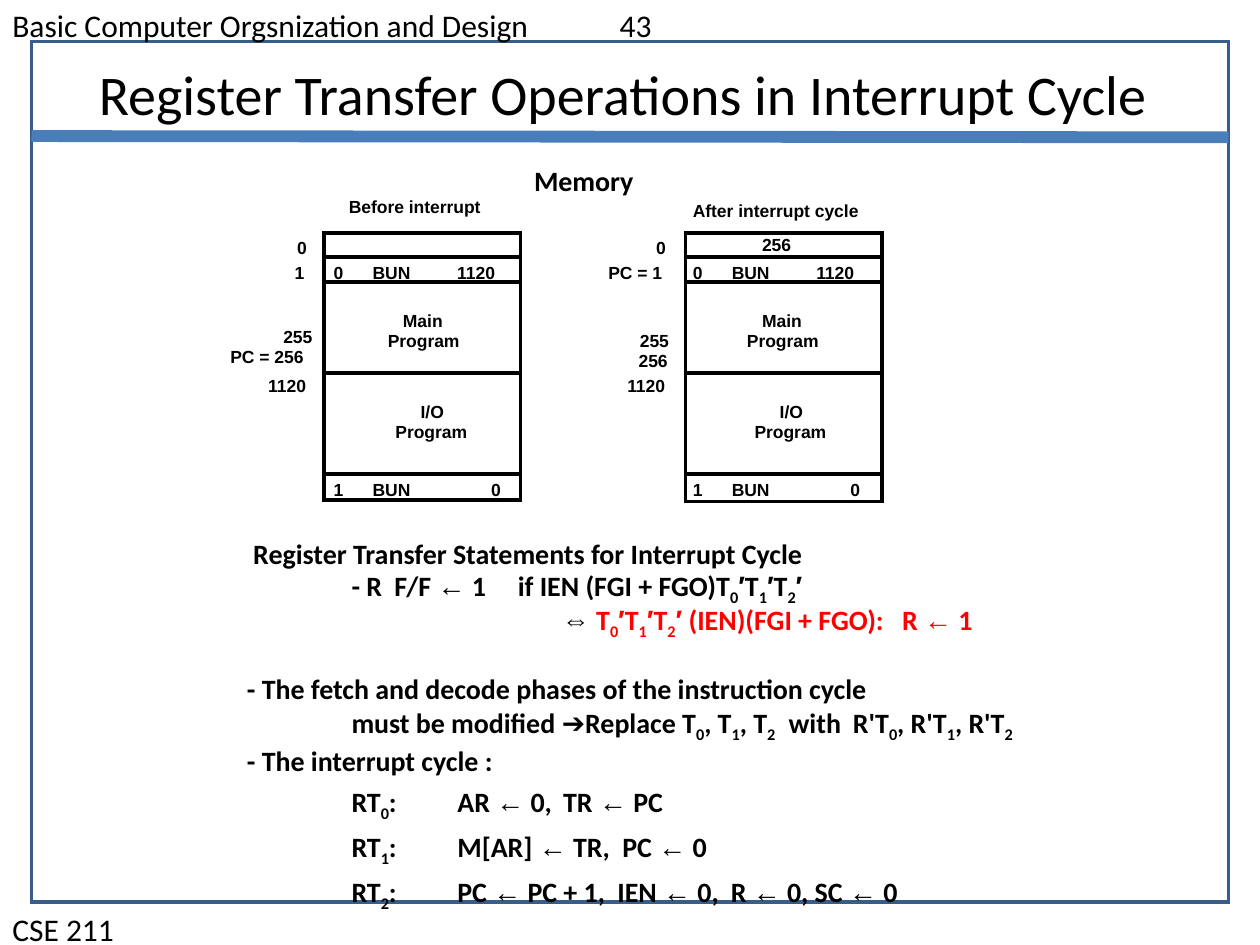
"""Build the slide on register transfers in the interrupt cycle."""
from dataclasses import dataclass
from itertools import groupby

from lxml.etree import SubElement as Sub
from pptx import Presentation as Deck
from pptx.dml.color import RGBColor as Color
from pptx.enum.shapes import MSO_CONNECTOR as Wire, MSO_SHAPE as Form
from pptx.enum.text import PP_ALIGN as Align
from pptx.oxml.ns import qn
from pptx.slide import Slide
from pptx.util import Inches, Pt


@dataclass(frozen=True)
class Theme:
    ink: str = "000000"
    frame: str = "385D8A"
    rule: str = "4A7EBB"
    alert: str = "FF0000"
    sans: str = "Calibri"
    mono: str = "Arial"
    title: int = 32
    edge: int = 18
    body: int = 16
    note: int = 10
    thin: float = 2
    thick: float = 6.75


@dataclass(frozen=True)
class Label:
    text: str
    left: float
    top: float
    width: float


@dataclass(frozen=True)
class Panel:
    left: float
    base: float
    height: float
    labels: tuple[Label, ...]


@dataclass(frozen=True)
class Line:
    text: str
    tabs: tuple[float, ...] = ()
    space: float = 1
    before: float = 0
    color: str = Theme.ink


LOOK = Theme()
SIGNS = "←′⇔➔"
WIDE = 1.56
TOP = 1.85
ROWS = (2.04, 2.24, 2.96, 3.76)
SHARED = (
    Label("0", 0, 2.03, 0.28), Label("BUN", 0.31, 2.03, 0.5),
    Label("1120", 0.98, 2.03, 0.51), Label("Main", 0.55, 2.41, 0.6),
    Label("Program", 0.43, 2.57, 0.77), Label("I/O", 0.69, 3.13, 0.5),
    Label("Program", 0.49, 3.29, 0.77), Label("1", 0, 3.75, 0.28),
    Label("BUN", 0.31, 3.75, 0.5), Label("0", 1.25, 3.75, 0.28),
    Label("0", -0.29, 1.83, 0.28), Label("1120", -0.52, 2.93, 0.51),
)
PANELS = (
    Panel(2.57, 2.55, 2.12, (
        Label("Before interrupt", 0.12, 1.51, 1.4), Label("1", -0.31, 2.03, 0.28),
        Label("255", -0.4, 2.54, 0.43), Label("PC = 256", -0.82, 2.7, 0.78))),
    Panel(5.44, 5.4, 2.13, (
        Label("After interrupt cycle", 0, 1.54, 1.7), Label("PC = 1", -0.67, 2.03, 0.63),
        Label("255", -0.42, 2.57, 0.43), Label("256", -0.43, 2.73, 0.43),
        Label("256", 0.55, 1.81, 0.43))),
)
BODY = (
    Line("\tRegister Transfer Statements for Interrupt Cycle", (0.05,), 0.85),
    Line("\t- R\tF/F ← 1\tif IEN (FGI + FGO)T_0′T_1′T_2′", (0.83, 1.17, 2.15), 0.85),
    Line("\t⇔ T_0′T_1′T_2′ (IEN)(FGI + FGO):\tR ← 1", (2.5, 5.2), 0.96, 0, LOOK.alert),
    Line("- The fetch and decode phases of the instruction cycle", before=18.5),
    Line("\tmust be modified ➔Replace T_0, T_1, T_2\twith\tR'T_0, R'T_1, R'T_2",
         (0.83, 4.3, 4.81)),
    Line("- The interrupt cycle :"),
    Line("\tRT_0:\tAR ← 0,\tTR ← PC", (0.83, 1.67, 2.51), before=4),
    Line("\tRT_1:\tM[AR] ← TR,\tPC ← 0", (0.83, 1.67, 2.98), before=4),
    Line("\tRT_2:\tPC ← PC + 1,\tIEN ← 0,\tR ← 0, SC ← 0",
         (0.83, 1.67, 2.94, 3.84), before=4),
)


def write(par, text: str, *, font: str = LOOK.sans, size: float = LOOK.body,
          bold: bool = False, color: str = LOOK.ink, tabs: tuple[float, ...] = (),
          align: Align = Align.LEFT) -> None:
    """Fill a paragraph, lowering each character that follows an underscore."""
    par.alignment = align
    if tabs:
        stops = Sub(par._p.get_or_add_pPr(), qn("a:tabLst"))
        for stop in tabs:
            Sub(stops, qn("a:tab"), pos=str(Inches(stop)), algn="l")

    def add(part: str, low: bool) -> None:
        """Add runs, split where signs begin or end."""
        for sign, chars in groupby(part, lambda char: char in SIGNS):
            run = par.add_run()
            run.text = "".join(chars)
            face = run.font
            face.name = LOOK.mono if sign else font
            face.size = Pt(size)
            face.bold = bold
            face.color.rgb = Color.from_string(LOOK.ink if "⇔" in run.text else color)
            if low:
                face._element.set("baseline", "-25000")

    first, *rest = text.split("_")
    add(first, False)
    for part in rest:
        add(part[0], True)
        add(part[1:], False)


def frame(slide: Slide, left: float, top: float, width: float, height: float,
          wrap: bool = True, pad: tuple[float, float] = (0.1, 0.05)):
    """Add an empty text box and return its text frame."""
    text = slide.shapes.add_textbox(*map(Inches, (left, top, width, height))).text_frame
    text.word_wrap = wrap
    text.margin_left = text.margin_right = Inches(pad[0])
    text.margin_top = text.margin_bottom = Inches(pad[1])
    return text


def box(slide: Slide, left: float, top: float, width: float, height: float,
        color: str) -> None:
    """Draw an outlined rectangle with square corners."""
    shape = slide.shapes.add_shape(Form.RECTANGLE, *map(Inches, (left, top, width, height)))
    shape.shadow.inherit = False
    shape.fill.background()
    shape.line.color.rgb = Color.from_string(color)
    shape.line.width = Pt(LOOK.thin)
    Sub(shape._element.spPr.find(qn("a:ln")), qn("a:miter"), lim="800000")


def rule(slide: Slide, left: float, top: float, right: float, end: float,
         color: str, width: float) -> None:
    """Draw a straight line."""
    wire = slide.shapes.add_connector(Wire.STRAIGHT, *map(Inches, (left, top, right, end)))
    wire.line.color.rgb = Color.from_string(color)
    wire.line.width = Pt(width)
    Sub(wire._element.spPr, qn("a:effectLst"))


def panel(slide: Slide, item: Panel) -> None:
    """Draw one memory map with its labels."""
    box(slide, item.left, TOP, WIDE, item.height, LOOK.ink)
    for row in ROWS:
        rule(slide, item.left, row, item.left + WIDE, row, LOOK.ink, LOOK.thin)
    for label in SHARED + item.labels:
        text = frame(slide, item.base + label.left, label.top, label.width, 0.26, False)
        write(text.paragraphs[0], label.text, font=LOOK.mono, size=LOOK.note, bold=True)


def main() -> None:
    """Build and save the slide."""
    deck = Deck()
    deck.slide_width, deck.slide_height = Inches(10), Inches(7.5)
    slide = deck.slides.add_slide(deck.slide_layouts[6])
    box(slide, 0.25, 0.33, 9.5, 6.83, LOOK.frame)
    write(frame(slide, 0, 0, 10, 0.41).paragraphs[0],
          "Basic Computer Orgsnization and Design\t43", size=LOOK.edge, tabs=(4.82,))
    write(frame(slide, 0, 7.17, 10, 0.4).paragraphs[0], "CSE 211", size=LOOK.edge)
    rule(slide, 0.25, 1.08, 9.75, 1.09, LOOK.rule, LOOK.thick)
    write(frame(slide, 0.53, 0.42, 8.83, 0.64).paragraphs[0],
          "Register Transfer Operations in Interrupt Cycle",
          size=LOOK.title, align=Align.CENTER)
    text = frame(slide, 1.89, 4.27, 6.26, 3, False, (0.07, 0.03))
    for count, line in enumerate(BODY):
        par = text.add_paragraph() if count else text.paragraphs[0]
        par.line_spacing = line.space
        if line.before:
            par.space_before = Pt(line.before)
        write(par, line.text, bold=True, color=line.color, tabs=line.tabs)
    write(frame(slide, 4.14, 1.25, 0.99, 0.36, False).paragraphs[0], "Memory", bold=True)
    for item in PANELS:
        panel(slide, item)
    deck.save("out.pptx")


if __name__ == "__main__":
    main()
